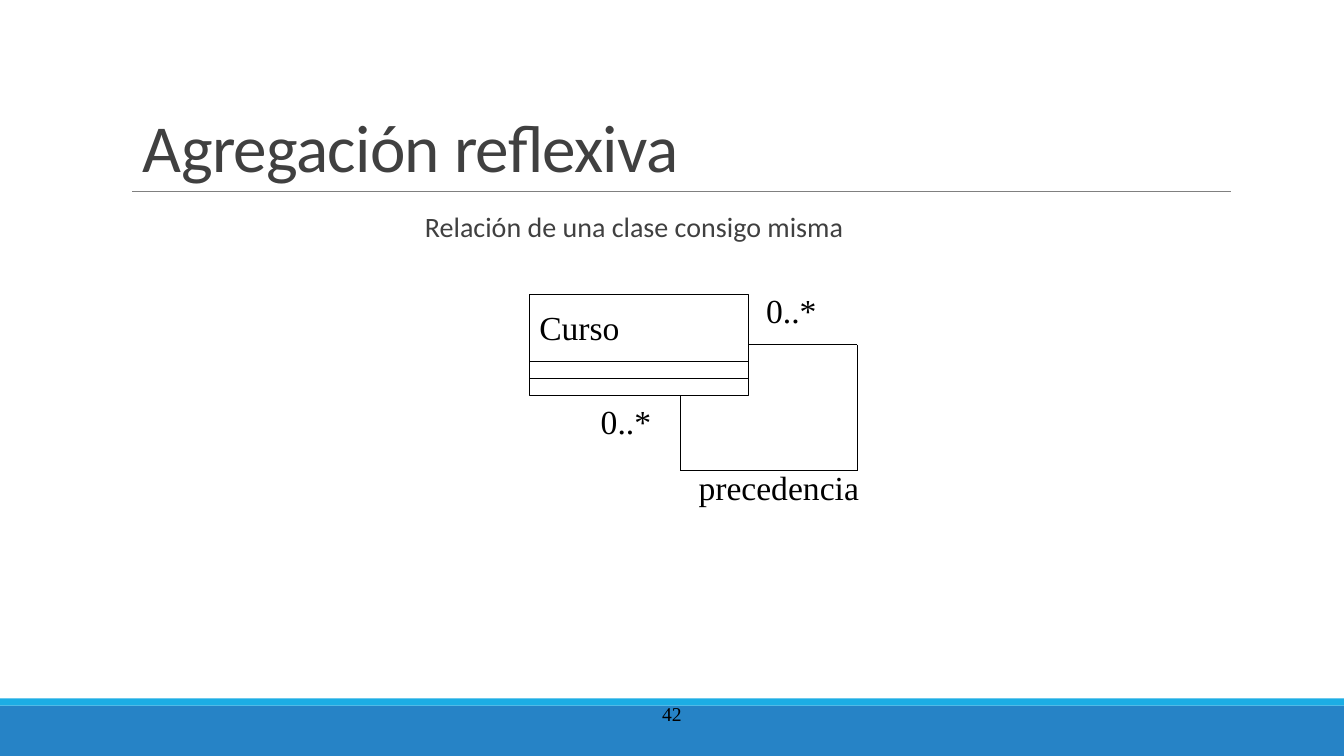
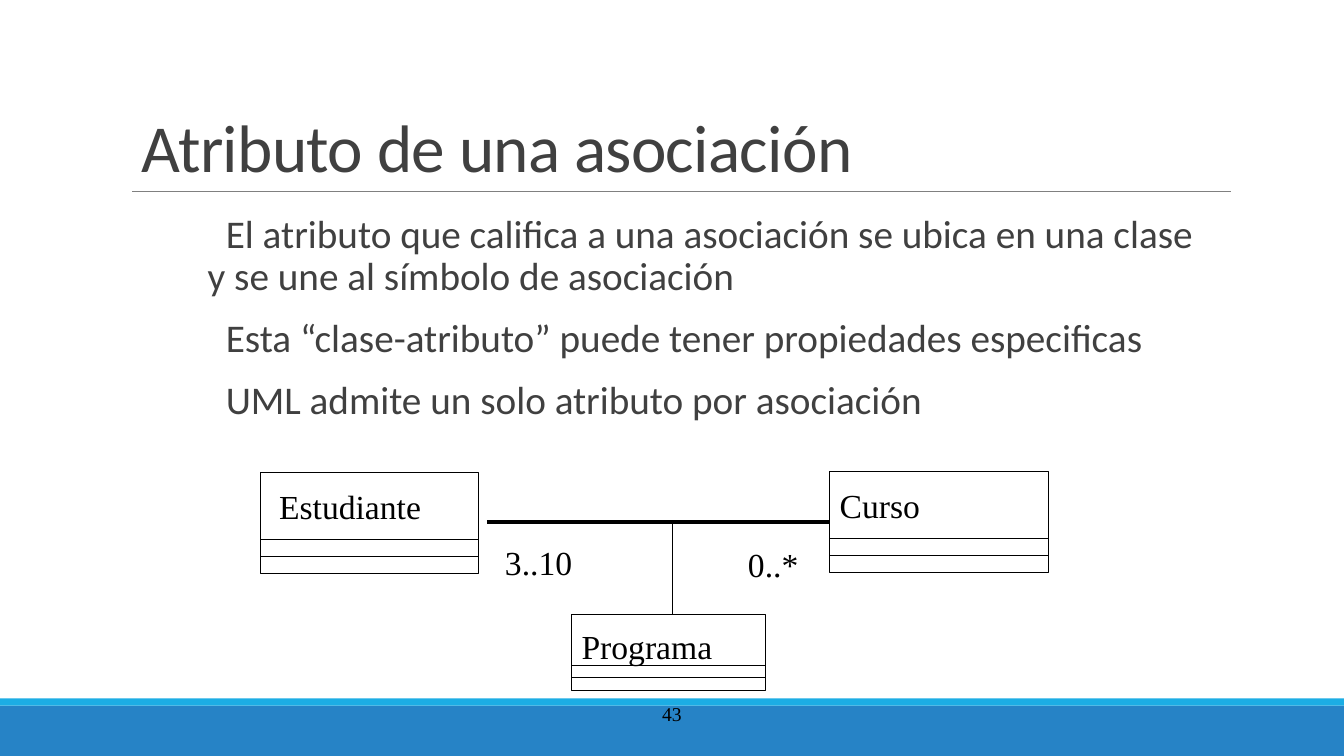
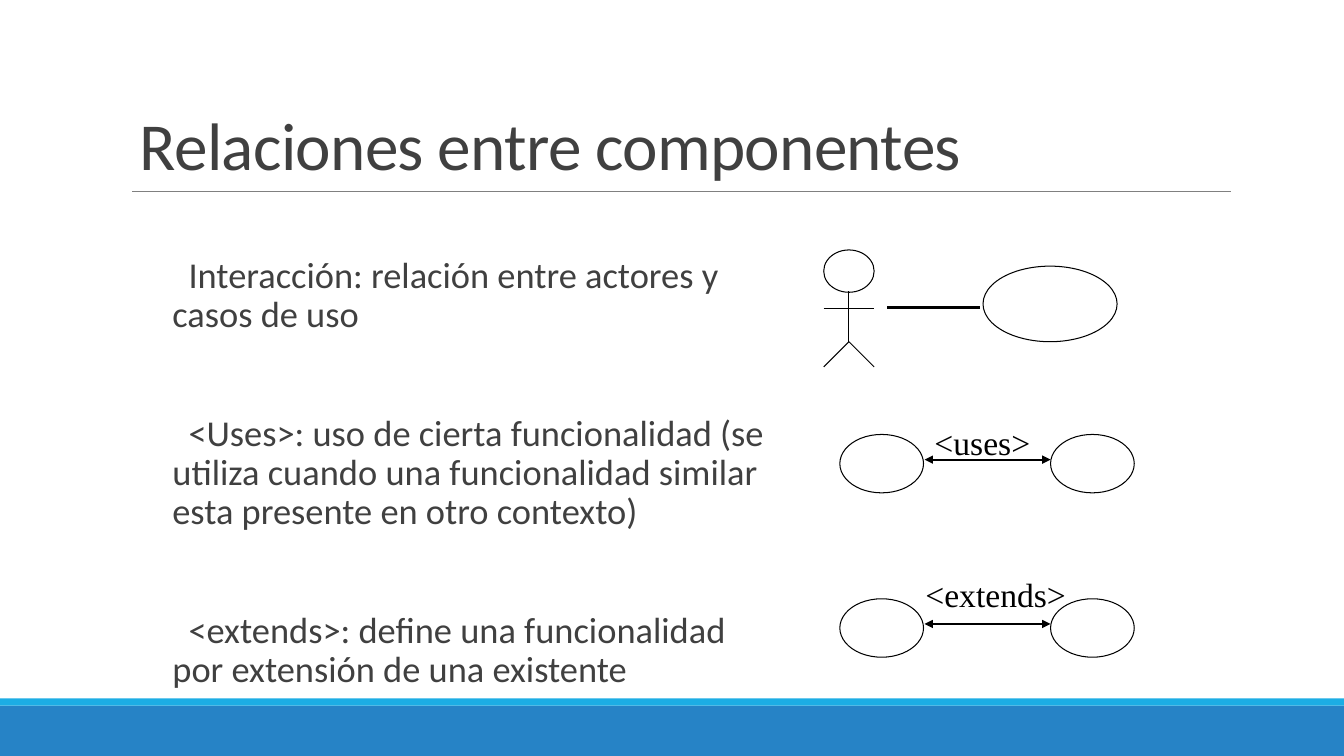
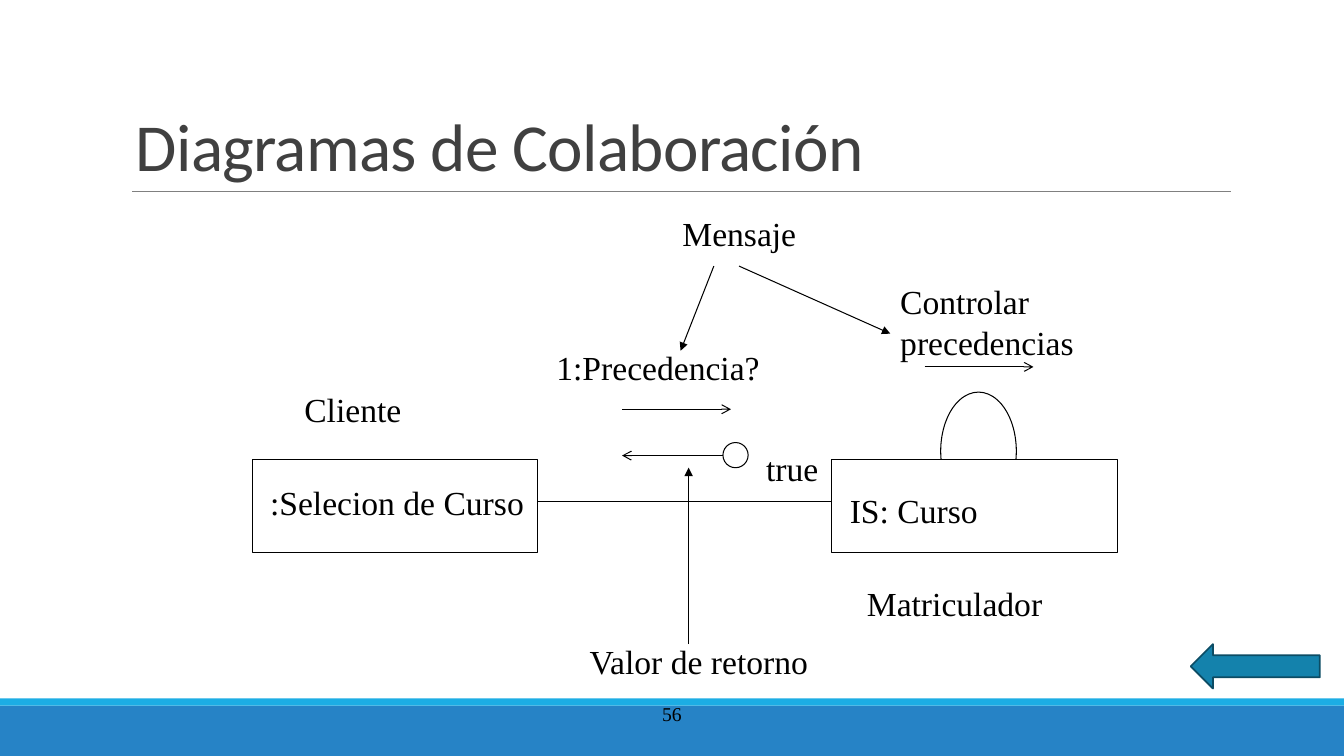
from lxml import etree
from pptx import Presentation
from pptx.dml.color import RGBColor
from pptx.enum import shapes, text
from pptx.oxml.ns import qn
from pptx.util import Inches, Pt

COLORS = {
    "band": "2683C6",
    "accent": "1CADE4",
    "rule": "808080",
    "heading": "404040",
    "ink": "000000",
    "paper": "FFFFFF",
    "arrow": "1482AC",
    "arrow_edge": "0C4C64",
}
RECTANGLE = shapes.MSO_SHAPE.RECTANGLE
OVAL = shapes.MSO_SHAPE.OVAL


def add_shape(slide, kind, box, fill="paper", edge="ink", weight=0.75):
    shape = slide.shapes.add_shape(kind, *map(Inches, box))
    shape.shadow.inherit = False
    shape.fill.solid()
    shape.fill.fore_color.rgb = RGBColor.from_string(COLORS[fill])
    if edge:
        shape.line.color.rgb = RGBColor.from_string(COLORS[edge])
        shape.line.width = Pt(weight)
    else:
        shape.line.fill.background()


def add_text(slide, box, words, size=24, font="Times New Roman", color="ink"):
    text_frame = slide.shapes.add_textbox(*map(Inches, box)).text_frame
    text_frame.word_wrap = True
    text_frame.text = words
    for paragraph in text_frame.paragraphs:
        for run in paragraph.runs:
            run.font.size = Pt(size)
            run.font.name = font
            run.font.color.rgb = RGBColor.from_string(COLORS[color])
    return text_frame


presentation = Presentation()
presentation.slide_width = Inches(13.33)
presentation.slide_height = Inches(7.5)

headings = [
    ("Agregación reflexiva", 1.32, 1.9, "42"),
    ("Atributo de una asociación", 1.31, 1.9, "43"),
    ("Relaciones entre componentes", 1.29, 1.88, None),
    ("Diagramas de Colaboración", 1.25, 1.89, "56"),
]
slides = []
for title, left, bottom, number in headings:
    slide = presentation.slides.add_slide(presentation.slide_layouts[6])
    slides.append(slide)
    add_shape(slide, RECTANGLE, (0, 7, 13.33, 0.5), "band", None)
    add_shape(slide, RECTANGLE, (0, 6.93, 13.33, 0.07), "accent", None)
    title_frame = add_text(slide, (left, bottom - 0.83, 8.5, 0.83), title, 48, "Calibri", "heading")
    title_frame.vertical_anchor = text.MSO_ANCHOR.BOTTOM
    title_frame.paragraphs[0].line_spacing = 0.85
    title_frame.paragraphs[0].runs[0].font._element.set("spc", "-50")
    if number:
        number_frame = add_text(slide, (5.08, 6.83, 3.17, 0.5), number, 14)
        number_frame.vertical_anchor = text.MSO_ANCHOR.MIDDLE
        number_frame.paragraphs[0].alignment = text.PP_ALIGN.CENTER
reflexive, attribute, relations, collaboration = slides
lines = [(slide, (1.31, 1.9, 12.21, 1.9), "rule", 0.5, None, None) for slide in slides]

bodies = [
    (reflexive, (2.04, 2.07, 8.5, 0.75), 20, 12, 0, text.PP_ALIGN.CENTER, [
        "Relación de una clase consigo misma",
    ]),
    (attribute, (2.06, 2.08, 10, 2.76), 28, 12, 0.18, text.PP_ALIGN.LEFT, [
        "El atributo que califica a una asociación se ubica en una clase y se une al símbolo de asociación",
        "Esta “clase-atributo” puede tener propiedades especificas",
        "UML admite un solo atributo por asociación",
    ]),
    (relations, (1.71, 2.5, 6.08, 4.4), 26, 54.5, 0.16, text.PP_ALIGN.LEFT, [
        "Interacción: relación entre actores y casos de uso",
        "<Uses>: uso de cierta funcionalidad (se utiliza cuando una funcionalidad similar esta presente en otro contexto)",
        "<extends>: define una funcionalidad por extensión de una existente",
    ]),
]
for slide, box, size, gap, indent, alignment, sentences in bodies:
    body_frame = add_text(slide, box, "\n".join(sentences), size, "Calibri", "heading")
    body_frame.margin_left = body_frame.margin_right = 0
    for index, paragraph in enumerate(body_frame.paragraphs):
        paragraph.alignment = alignment
        paragraph.line_spacing = 0.9
        paragraph.space_before = Pt(gap if index else 0)
        paragraph.space_after = Pt(2)
        paragraph._p.get_or_add_pPr().set("indent", str(Inches(indent)))

class_boxes = [
    (reflexive, "Curso", 5.25, 2.92, 2.17, 1, 0),
    (attribute, "Estudiante", 2.58, 4.69, 2.17, 1, 0.09),
    (attribute, "Curso", 8.23, 4.68, 2.17, 1, 0),
    (attribute, "Programa", 5.67, 6.1, 1.92, 0.75, 0),
]
for slide, name, left, top, width, height, offset in class_boxes:
    add_shape(slide, RECTANGLE, (left, top, width, height))
    add_text(slide, (left + offset, top + 0.08 * height, width - 0.08, 0.5), name)
    for share in (4 / 6, 5 / 6):
        divider = top + share * height
        lines.append((slide, (left, divider, left + width, divider), "ink", 0.75, None, None))

figures = [
    (relations, OVAL, (8.17, 2.48, 0.5, 0.42)),
    (relations, OVAL, (9.75, 2.64, 1.33, 0.75)),
    (collaboration, OVAL, (9.33, 3.89, 0.75, 1.17)),
    (collaboration, RECTANGLE, (2.5, 4.56, 2.83, 0.92)),
    (collaboration, RECTANGLE, (8.25, 4.56, 2.83, 0.92)),
    (collaboration, OVAL, (7.17, 4.39, 0.25, 0.25)),
]
for top in (4.31, 5.94):
    figures += [(relations, OVAL, (left, top, 0.83, 0.58)) for left in (8.33, 10.42)]
    lines.append((relations, (9.17, top + 0.25, 10.42, top + 0.25), "ink", 1.25, "triangle", "triangle"))
for slide, kind, box in figures:
    add_shape(slide, kind, box)
add_shape(collaboration, shapes.MSO_SHAPE.LEFT_ARROW, (11.81, 6.39, 1.28, 0.44), "arrow", "arrow_edge", 1.25)

loop_corners = [(7.42, 3.42), (8.5, 3.42), (8.5, 4.67), (6.75, 4.67), (6.75, 3.92)]
for start, end in zip(loop_corners, loop_corners[1:]):
    lines.append((reflexive, start + end, "ink", 0.75, None, None))

actor_limbs = [
    (8.42, 2.89, 8.42, 3.39),
    (8.17, 3.06, 8.67, 3.06),
    (8.42, 3.39, 8.17, 3.64),
    (8.42, 3.39, 8.67, 3.64),
]
lines += [(relations, limb, "ink", 0.75, None, None) for limb in actor_limbs]

lines += [
    (attribute, (4.83, 5.18, 8.23, 5.18), "ink", 3, None, None),
    (attribute, (6.67, 5.18, 6.67, 6.1), "ink", 0.75, None, None),
    (relations, (8.8, 3.05, 9.72, 3.05), "ink", 2, None, None),
    (collaboration, (5.33, 4.98, 8.25, 4.98), "ink", 0.75, None, None),
    (collaboration, (6.17, 4.06, 7.25, 4.06), "ink", 0.75, None, "arrow"),
    (collaboration, (7.17, 4.52, 6.17, 4.52), "ink", 0.75, None, "arrow"),
    (collaboration, (9.17, 3.64, 10.25, 3.64), "ink", 0.75, None, "arrow"),
    (collaboration, (6.83, 6.39, 6.83, 4.64), "ink", 0.75, None, "triangle"),
    (collaboration, (7.33, 2.64, 8.83, 3.31), "ink", 0.75, None, "triangle"),
    (collaboration, (7.08, 2.64, 6.75, 3.48), "ink", 0.75, None, "triangle"),
]
for slide, ends, color, weight, head, tail in lines:
    connector = slide.shapes.add_connector(shapes.MSO_CONNECTOR.STRAIGHT, *map(Inches, ends))
    connector.line.color.rgb = RGBColor.from_string(COLORS[color])
    connector.line.width = Pt(weight)
    properties = connector._element.spPr
    outline = properties.find(qn("a:ln"))
    for tag, arrowhead in (("a:headEnd", head), ("a:tailEnd", tail)):
        if arrowhead:
            etree.SubElement(outline, qn(tag)).set("type", arrowhead)
    etree.SubElement(properties, qn("a:effectLst"))

labels = [
    (reflexive, "0..*", 7.5, 2.83, 0.92, 0.5),
    (reflexive, "0..*", 5.86, 3.93, 0.92, 0.5),
    (reflexive, "precedencia", 6.83, 4.58, 1.92, 0.5),
    (attribute, "3..10", 4.91, 5.33, 1.08, 0.5),
    (attribute, "0..*", 7.32, 5.35, 0.75, 0.5),
    (relations, "<uses>", 9.17, 4.14, 1.17, 0.5),
    (relations, "<extends>", 9.08, 5.64, 1.92, 0.5),
    (collaboration, "Cliente", 2.92, 3.81, 2.08, 0.5),
    (collaboration, "Matriculador", 8.5, 5.73, 2.5, 0.5),
    (collaboration, ":Selecion de Curso", 2.58, 4.73, 2.92, 0.5),
    (collaboration, "IS: Curso", 8.33, 4.81, 2.42, 0.5),
    (collaboration, "1:Precedencia?", 5.42, 3.39, 2.5, 0.5),
    (collaboration, "true", 7.5, 4.39, 1.08, 0.5),
    (collaboration, "Controlar precedencias", 8.83, 2.74, 2.25, 0.91),
    (collaboration, "Valor de retorno", 5.75, 6.31, 2.58, 0.5),
    (collaboration, "Mensaje", 6.67, 2.06, 2.17, 0.5),
]
for slide, words, *box in labels:
    add_text(slide, box, words)

presentation.save("out.pptx")
